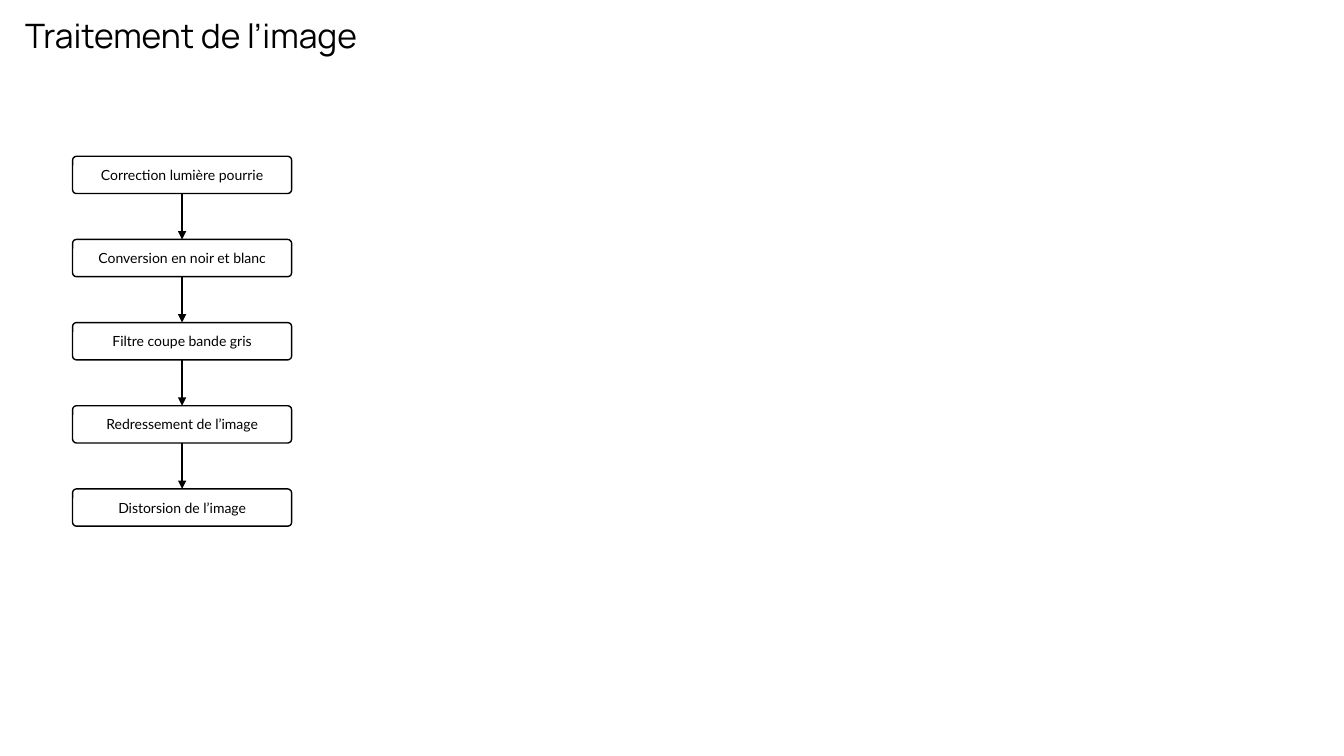
import pptx
import pptx.dml.color
import pptx.enum.shapes
import pptx.enum.text
import pptx.oxml.ns
import pptx.util
import lxml.etree

STEPS = [
    "Correction lumière pourrie",
    "Conversion en noir et blanc",
    "Filtre coupe bande gris",
    "Redressement de l’image",
    "Distorsion de l’image",
]


def color(value):
    return pptx.dml.color.RGBColor.from_string(value)


class FlowSlide:
    """Draws a flow chart on a slide divided into 100 columns and 100 rows."""

    ink = "000000"
    paper = "FFFFFF"
    title_font = {"name": "Manrope", "size": pptx.util.Pt(24)}
    step_font = {"name": "Lato", "size": pptx.util.Pt(10)}
    line_width = pptx.util.Pt(1)
    corner = 0.105

    def __init__(self, deck):
        self.page = deck.slides.add_slide(deck.slide_layouts[6])
        self.column = deck.slide_width / 100
        self.row = deck.slide_height / 100
        background = self.page.background.fill
        background.solid()
        background.fore_color.rgb = color(self.paper)

    def area(self, left, top, width, height):
        units = (self.column, self.row, self.column, self.row)
        return [round(count * unit) for count, unit in zip((left, top, width, height), units)]

    def label(self, box, text, font, frame_format, alignment):
        frame = box.text_frame
        for name, value in frame_format.items():
            setattr(frame, name, value)
        para = frame.paragraphs[0]
        para.alignment = alignment
        span = para.add_run()
        span.text = text
        for name, value in font.items():
            setattr(span.font, name, value)
        span.font.color.rgb = color(self.ink)

    def outline(self, line):
        line.color.rgb = color(self.ink)
        line.width = self.line_width

    def title(self, text, *place):
        box = self.page.shapes.add_textbox(*self.area(*place))
        frame_format = {
            "word_wrap": True,
            "auto_size": pptx.enum.text.MSO_AUTO_SIZE.SHAPE_TO_FIT_TEXT,
        }
        self.label(box, text, self.title_font, frame_format, pptx.enum.text.PP_ALIGN.LEFT)

    def step(self, text, *place):
        kind = pptx.enum.shapes.MSO_SHAPE.ROUNDED_RECTANGLE
        box = self.page.shapes.add_shape(kind, *self.area(*place))
        box.adjustments[0] = self.corner
        box.shadow.inherit = False
        box.fill.background()
        self.outline(box.line)
        frame_format = {
            "word_wrap": True,
            "vertical_anchor": pptx.enum.text.MSO_ANCHOR.MIDDLE,
        }
        self.label(box, text, self.step_font, frame_format, pptx.enum.text.PP_ALIGN.CENTER)
        return box

    def arrow(self, upper, lower):
        kind = pptx.enum.shapes.MSO_CONNECTOR.STRAIGHT
        link = self.page.shapes.add_connector(kind, 0, 0, 0, 0)
        link.begin_connect(upper, 2)
        link.end_connect(lower, 0)
        self.outline(link.line)
        qn = pptx.oxml.ns.qn
        properties = link._element.spPr
        lxml.etree.SubElement(properties.find(qn("a:ln")), qn("a:tailEnd"), type="triangle")
        lxml.etree.SubElement(properties, qn("a:effectLst"))


def main():
    deck = pptx.Presentation()
    deck.slide_width = pptx.util.Inches(13.33)
    deck.slide_height = pptx.util.Inches(7.5)
    slide = FlowSlide(deck)
    slide.title("Traitement de l’image", 1.13, 1.33, 30.46, 6.67)
    boxes = [
        slide.step(text, 5.4, 20.67 + 11 * index, 16.3, 4.93)
        for index, text in enumerate(STEPS)
    ]
    for upper, lower in zip(boxes, boxes[1:]):
        slide.arrow(upper, lower)
    deck.save("out.pptx")


if __name__ == "__main__":
    main()
